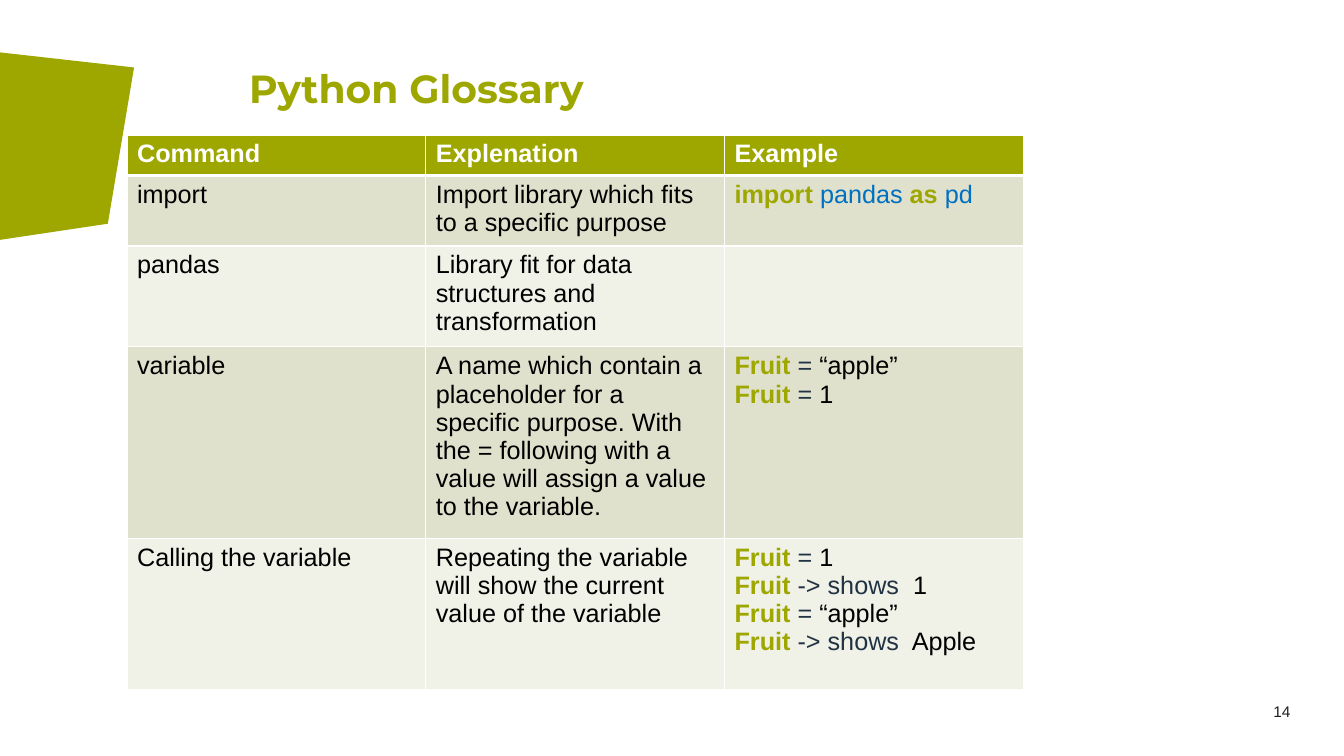
from lxml import etree
from pptx import Presentation
from pptx.dml.color import RGBColor
from pptx.enum.text import MSO_ANCHOR, PP_ALIGN
from pptx.oxml.ns import qn
from pptx.util import Inches, Pt

BOTTOM = MSO_ANCHOR.BOTTOM
LEFT, RIGHT = PP_ALIGN.LEFT, PP_ALIGN.RIGHT
GREEN, BLUE, NAVY, BLACK, WHITE = "9EA700", "0070C0", "213343", "000000", "FFFFFF"
BANDS = ["F0F1E7", "DFE1CC"]
TITLE_ONLY = 5


def format_run(run, size, color, bold=False, name="Arial"):
    run.font.size = Pt(size)
    run.font.name = name
    run.font.bold = bold
    run.font.color.rgb = RGBColor.from_string(color)


def add_borders(cell, widths):
    properties = cell._tc.get_or_add_tcPr()
    for position, (side, width) in enumerate(widths.items()):
        line = etree.Element(qn(f"a:ln{side}"), w=str(Pt(width)))
        fill = etree.SubElement(line, qn("a:solidFill"))
        etree.SubElement(fill, qn("a:srgbClr"), val=WHITE)
        properties.insert(position, line)


presentation = Presentation()
presentation.slide_width = Inches(13.33)
presentation.slide_height = Inches(7.5)
slide = presentation.slides.add_slide(presentation.slide_layouts[TITLE_ONLY])

builder = slide.shapes.build_freeform(0, Inches(0.52), scale=1.0)
corners = [(0, 2.38), (1.07, 2.22), (1.33, 0.67)]
builder.add_line_segments([(Inches(x), Inches(y)) for x, y in corners], close=True)
accent = builder.convert_to_shape()
accent.shadow.inherit = False
accent.fill.solid()
accent.fill.fore_color.rgb = RGBColor.from_string(GREEN)
accent.line.fill.background()

title = slide.shapes.title
title.left, title.top = Inches(2.47), Inches(0.64)
title.width, title.height = Inches(7.78), Inches(0.47)
title_frame = title.text_frame
title_frame.text = "Python Glossary"
title_frame.vertical_anchor = BOTTOM
title_frame.margin_left = title_frame.margin_right = title_frame.margin_bottom = 0
title_frame.margin_top = Inches(0.04)
title_paragraph = title_frame.paragraphs[0]
title_paragraph.alignment = LEFT
title_paragraph.line_spacing = 0.9
format_run(title_paragraph.runs[0], 28, GREEN, True, "Montserrat")

number_box = slide.shapes.add_textbox(Inches(12.17), Inches(6.95), Inches(0.63), Inches(0.18))
number_frame = number_box.text_frame
number_frame.word_wrap = True
number_frame.margin_left = number_frame.margin_right = 0
number_frame.margin_top = number_frame.margin_bottom = 0
number_frame.text = "14"
number_paragraph = number_frame.paragraphs[0]
number_paragraph.alignment = RIGHT
number_paragraph.line_spacing = Pt(14.2)
format_run(number_paragraph.runs[0], 11, "231F20")

assign_text = [("Fruit ", GREEN), ("=", NAVY), (" “apple”", BLACK)]
assign_number = [("Fruit ", GREEN), ("=", NAVY), (" 1", BLACK)]
show_number = [("Fruit ", GREEN), ("-> shows ", NAVY), (" 1", BLACK)]
show_text = [("Fruit ", GREEN), ("-> shows ", NAVY), (" Apple", BLACK)]
import_line = [("import ", GREEN), ("pandas ", BLUE), ("as ", GREEN), ("pd", BLUE)]

glossary = [
    ("Command", "Explenation", [[("Example", WHITE)]]),
    ("import", "Import library which fits to a specific purpose", [import_line]),
    ("pandas", "Library fit for data structures and transformation", []),
    ("variable", "A name which contain a placeholder for a specific purpose. With the = "
     "following with a value will assign a value to the variable.",
     [assign_text, assign_number]),
    ("Calling the variable", "Repeating the variable will show the current value of the variable",
     [assign_number, show_number, assign_text, show_text]),
]
row_heights = [0.4, 0.66, 0.94, 1.78, 1.5]

table = slide.shapes.add_table(len(glossary), 3, Inches(1.26), Inches(1.34),
                               Inches(8.89), Inches(sum(row_heights))).table
for row, height in zip(table.rows, row_heights):
    row.height = Inches(height)

for row_index, (command, explanation, example) in enumerate(glossary):
    header = row_index == 0
    text_color = WHITE if header else BLACK
    contents = [[[(command, text_color)]], [[(explanation, text_color)]], example]
    for column_index, lines in enumerate(contents):
        cell = table.cell(row_index, column_index)
        cell.fill.solid()
        cell.fill.fore_color.rgb = RGBColor.from_string(GREEN if header else BANDS[row_index % 2])
        add_borders(cell, {"L": 1, "R": 1, "T": 3 if row_index == 1 else 1, "B": 3 if header else 1})
        for line_index, line in enumerate(lines):
            text_frame = cell.text_frame
            paragraph = text_frame.paragraphs[0] if line_index == 0 else text_frame.add_paragraph()
            for text, color in line:
                run = paragraph.add_run()
                run.text = text
                format_run(run, 18, color, header or color == GREEN)

presentation.save("out.pptx")
